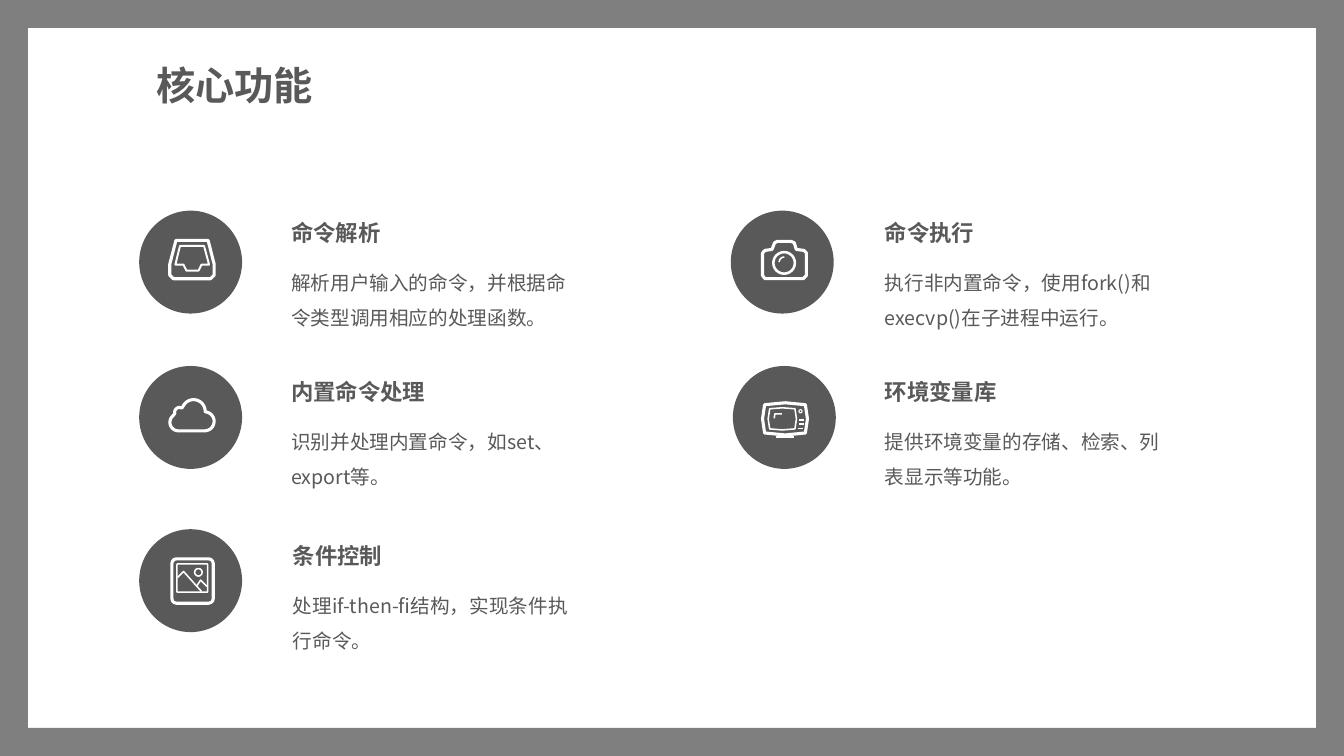
from math import cos, radians, sin

from lxml import etree
from pptx import Presentation
from pptx.dml.color import RGBColor
from pptx.enum.shapes import MSO_CONNECTOR, MSO_SHAPE
from pptx.enum.text import MSO_ANCHOR, MSO_AUTO_SIZE, PP_ALIGN
from pptx.oxml.ns import qn
from pptx.util import Pt

OVAL = MSO_SHAPE.OVAL
ROUND = MSO_SHAPE.ROUNDED_RECTANGLE
FRAME = MSO_SHAPE.FRAME
LINE = MSO_CONNECTOR.STRAIGHT
TOP = MSO_ANCHOR.TOP
LEFT = PP_ALIGN.LEFT
GROW = MSO_AUTO_SIZE.SHAPE_TO_FIT_TEXT

FONT = "Noto Sans CJK SC"
DARK, GREY, WHITE = "595959", "7F7F7F", "FFFFFF"
WIDE, HIGH = 960, 540
DISC = 73.5
BOLD, THIN = 2.2, 1.1


def paint(target, tint):
    target.solid()
    target.fore_color.rgb = RGBColor.from_string(tint)


def write(shape, text, size, bold=False, gap=1.0):
    frame = shape.text_frame
    frame.margin_left = frame.margin_right = 0
    frame.margin_top = frame.margin_bottom = 0
    frame.word_wrap = True
    frame.auto_size = GROW
    frame.vertical_anchor = TOP
    para = frame.paragraphs[0]
    para.alignment = LEFT
    para.line_spacing = gap
    run = para.add_run()
    run.text = text
    font = run.font
    font.name, font.size, font.bold = FONT, Pt(size), bold
    font.color.rgb = RGBColor.from_string(DARK)
    etree.SubElement(font._element, qn("a:ea")).set("typeface", FONT)


def place(shape, x, y, w, h):
    shape.left, shape.top = Pt(x), Pt(y)
    shape.width, shape.height = Pt(w), Pt(h)


def label(slide, x, y, w, h, text, **style):
    box = slide.shapes.add_textbox(Pt(x), Pt(y), Pt(w), Pt(h))
    write(box, text, **style)


def solid(shapes, kind, x, y, w, h, tint):
    shape = shapes.add_shape(kind, Pt(x), Pt(y), Pt(w), Pt(h))
    shape.shadow.inherit = False
    paint(shape.fill, tint)
    shape.line.fill.background()
    return shape


def ring(shapes, kind, x, y, w, h, width):
    shape = solid(shapes, kind, x, y, w, h, WHITE)
    shape.fill.background()
    paint(shape.line.fill, WHITE)
    shape.line.width = Pt(width)
    return shape


def trace(shapes, x, y, dots, width, close=True):
    spots = [(Pt(x + a), Pt(y + b)) for a, b in dots]
    pen = shapes.build_freeform(*spots[0], scale=1.0)
    pen.add_line_segments(spots[1:], close=close)
    shape = pen.convert_to_shape()
    shape.shadow.inherit = False
    shape.fill.background()
    paint(shape.line.fill, WHITE)
    shape.line.width = Pt(width)


def dash(shapes, x, y, w, width):
    line = shapes.add_connector(LINE, Pt(x), Pt(y), Pt(x + w), Pt(y))
    paint(line.line.fill, WHITE)
    line.line.width = Pt(width)
    etree.SubElement(line._element.spPr, qn("a:effectLst"))


def arc(x, y, r, start, end):
    turns = [radians(start + (end - start) * i / 16) for i in range(17)]
    return [(x + r * cos(t), y + r * sin(t)) for t in turns]


def tray(shapes, x, y):
    trace(shapes, x, y, [(26.3, 21.2), (49.3, 21.2), (53.6, 38.2), (53.6, 46),
                         (51, 48.6), (24.5, 48.6), (21.9, 46), (21.9, 38.2)], BOLD)
    trace(shapes, x, y, [(29.2, 25.2), (46.4, 25.2), (50, 38.5), (44.6, 38.5),
                         (42.5, 42.8), (33.8, 42.8), (31.7, 38.5), (25.9, 38.5)], 1.4)


def cloud(shapes, x, y):
    trace(shapes, x, y, arc(28.1, 40.3, 6.1, 90, 230) + arc(28.8, 33.1, 3.4, 165, 300)
          + arc(38.9, 32.4, 8.3, 205, 360) + arc(46.8, 39.6, 6.8, 275, 450), BOLD)


def photo(shapes, x, y):
    edge = ring(shapes, ROUND, x + 23.4, y + 21.2, 29.5, 31.7, BOLD)
    edge.adjustments[0] = 0.11
    pane = ring(shapes, ROUND, x + 27, y + 24.8, 22, 20.2, THIN)
    pane.adjustments[0] = 0.03
    ring(shapes, OVAL, x + 39.6, y + 28.1, 5.4, 5.4, THIN)
    trace(shapes, x, y, [(27.4, 34.6), (31.7, 30.2), (44.6, 44.6)], THIN, close=False)
    trace(shapes, x, y, [(41.4, 40.3), (43.9, 36.4), (48.6, 41)], THIN, close=False)


def camera(shapes, x, y):
    trace(shapes, x, y, [(22.7, 30.2), (24.5, 28.4), (29.5, 27.7), (31.3, 23), (33.1, 22),
                         (43.2, 22), (45.4, 23), (46.8, 27.7), (52.2, 28.4), (54, 30.2),
                         (54, 46.4), (51.8, 48.6), (24.5, 48.6), (22.7, 46.4)], BOLD)
    ring(shapes, OVAL, x + 30.4, y + 29.6, 15.4, 15.4, 1.8)
    trace(shapes, x, y, arc(38.2, 36.7, 3.6, 180, 270), THIN, close=False)


def screen(shapes, x, y):
    trace(shapes, x, y, [(22.7, 27.7), (37.4, 26.3), (51.8, 27.7), (53.3, 37.8),
                         (51.8, 47.9), (37.4, 49.3), (22.7, 47.9), (21.2, 37.8)], BOLD)
    trace(shapes, x, y, [(26.3, 30.6), (35.3, 29.9), (44.3, 30.6), (45.4, 37.8),
                         (44.3, 45), (35.3, 45.7), (26.3, 45), (25.2, 37.8)], THIN)
    trace(shapes, x, y, [(29.5, 37.4), (30, 34.2), (34.9, 34.2)], THIN, close=False)
    ring(shapes, OVAL, x + 47.2, y + 31.3, 2.2, 2.2, 0.8)
    for left, top in ((47.2, 38.5), (47.2, 41.4), (46.4, 44.6)):
        dash(shapes, x + left, y + top, 3.6, THIN)
    dash(shapes, x + 30.8, y + 50.6, 13.2, 1.4)


CARDS = [
    (tray, 99.4, 150.5, 208, 156.4, "命令解析", "解析用户输入的命令，并根据命令类型调用相应的处理函数。"),
    (cloud, 99.4, 261.4, 208, 270, "内置命令处理", "识别并处理内置命令，如set、export等。"),
    (photo, 99.4, 378, 209.2, 387.2, "条件控制", "处理if-then-fi结构，实现条件执行命令。"),
    (camera, 522, 150.5, 632, 156.4, "命令执行", "执行非内置命令，使用fork()和execvp()在子进程中运行。"),
    (screen, 523.5, 261.4, 632, 270, "环境变量库", "提供环境变量的存储、检索、列表显示等功能。"),
]


def card(slide, icon, x, y, left, top, head, body):
    group = slide.shapes.add_group_shape()
    solid(group.shapes, OVAL, x, y, DISC, DISC, DARK)
    icon(group.shapes, x, y)
    label(slide, left, top, 173, 19.4, head, size=16, bold=True)
    label(slide, left, top + 28.4, 208, 51, body, size=14, gap=1.5)


def main():
    deck = Presentation()
    deck.slide_width, deck.slide_height = Pt(WIDE), Pt(HIGH)
    slide = deck.slides.add_slide(deck.slide_layouts[5])
    paint(slide.background.fill, WHITE)
    title = slide.shapes.title
    place(title, 111.6, 43.9, 186, 33.8)
    write(title, "核心功能", size=28, bold=True)
    for item in CARDS:
        card(slide, *item)
    border = solid(slide.shapes, FRAME, 0, 0, WIDE, HIGH, GREY)
    border.adjustments[0] = 0.037
    deck.save("out.pptx")


if __name__ == "__main__":
    main()
